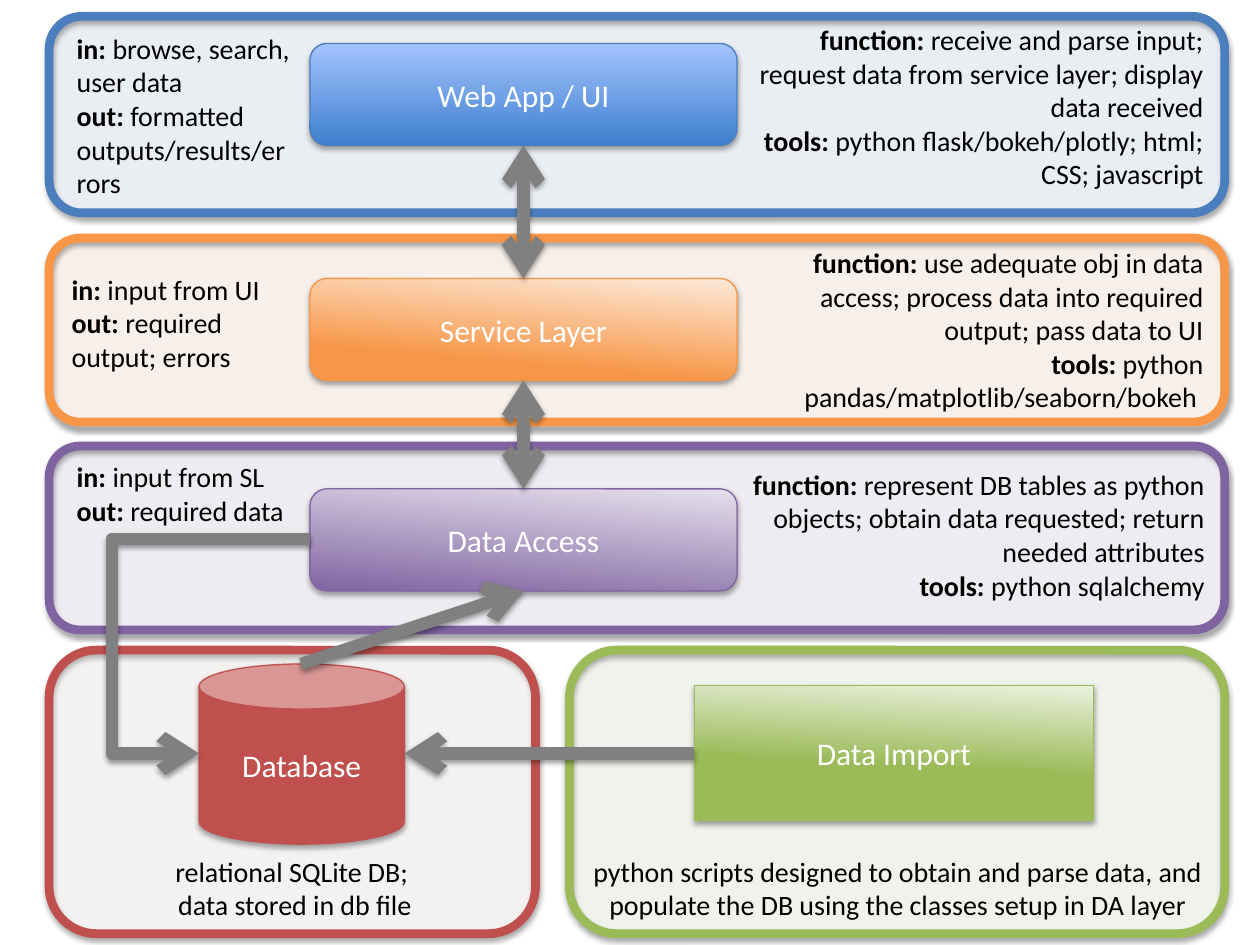
"""Layered application architecture: web, service, data access, database, import."""
from lxml.etree import SubElement
from pptx import Presentation
from pptx.dml.color import RGBColor
from pptx.enum.shapes import MSO_CONNECTOR, MSO_SHAPE
from pptx.enum.text import MSO_ANCHOR, MSO_AUTO_SIZE, PP_ALIGN
from pptx.oxml.ns import qn
from pptx.util import Inches, Pt

BLUE = RGBColor(0x4B, 0x7E, 0xBC)
SKY = RGBColor(0x4F, 0x81, 0xBD)
AZURE = RGBColor(0x3F, 0x80, 0xCE)
PALE_BLUE = RGBColor(0xA4, 0xC4, 0xFF)
ORANGE = RGBColor(0xF7, 0x96, 0x46)
PEACH = RGBColor(0xFD, 0xEA, 0xDA)
PURPLE = RGBColor(0x80, 0x64, 0xA2)
LILAC = RGBColor(0xE6, 0xE0, 0xEC)
RED = RGBColor(0xC0, 0x50, 0x4D)
PINK = RGBColor(0xF2, 0xDC, 0xDB)
GREEN = RGBColor(0x9B, 0xBB, 0x59)
MINT = RGBColor(0xEB, 0xF1, 0xDE)
GREY = RGBColor(0x80, 0x80, 0x80)
WHITE = RGBColor(0xFF, 0xFF, 0xFF)
BLACK = RGBColor(0, 0, 0)
LEFT, MID, RIGHT = PP_ALIGN.LEFT, PP_ALIGN.CENTER, PP_ALIGN.RIGHT
ROUND = MSO_SHAPE.ROUNDED_RECTANGLE

deck = Presentation()
deck.slide_width, deck.slide_height = Inches(10), Inches(7.5)
slide = deck.slides.add_slide(deck.slide_layouts[6])
shapes = slide.shapes
COL, ROW = deck.slide_width / 100, deck.slide_height / 75


def grid(*cells):
    return [round(n * size) for n, size in zip(cells, (COL, ROW) * 2)]


def shade(item, dist, alpha):
    props = item._element.spPr
    glow = props.find(qn("a:effectLst"))
    if glow is None:
        glow = SubElement(props, qn("a:effectLst"))
    drop = SubElement(glow, qn("a:outerShdw"), blurRad="40000", dist=str(dist),
                      dir="5400000", rotWithShape="0")
    tint = SubElement(drop, qn("a:srgbClr"), val="000000")
    SubElement(tint, qn("a:alpha"), val=str(alpha * 1000))


EDGE, FULL = 3.9, 93.3
panels = [
    (EDGE, 51.6, 38.6, 22.5, PINK, 12, RED),
    (45.2, 51.6, 52, 22.5, GREEN, 8, GREEN),
    (EDGE, 35.4, FULL, 14.6, PURPLE, 8, PURPLE),
    (EDGE, 18.9, FULL, 14.6, ORANGE, 8, ORANGE),
    (EDGE, 1.3, FULL, 15.6, SKY, 8, BLUE),
]
for x, y, w, h, fill, alpha, line in panels:
    panel = shapes.add_shape(ROUND, *grid(x, y, w, h))
    panel.fill.solid()
    panel.fill.fore_color.rgb = fill
    hue = panel._element.spPr.find(qn("a:solidFill"))[0]
    SubElement(hue, qn("a:alpha"), val=str(alpha * 1000))
    panel.line.color.rgb, panel.line.width = line, Pt(5)
    panel.shadow.inherit = False
    shade(panel, 23000, 35)

BOX, WIDE, TALL = 24.6, 33.9, 8.1
WEB, SERVE, DATA = 3.45, 22.1, 38.8
blocks = [
    ("Web App / UI", ROUND, BOX, WEB, WIDE, TALL, BLUE, (AZURE, 0, PALE_BLUE, 90)),
    ("Service Layer", ROUND, BOX, SERVE, WIDE, TALL, ORANGE, (ORANGE, 0.24, PEACH, 85)),
    ("Data Access", ROUND, BOX, DATA, WIDE, TALL, PURPLE, (PURPLE, 0, LILAC, 85)),
    ("Database", MSO_SHAPE.CAN, 15.8, 52.7, 16.3, 14.3, RED, None),
    ("Data Import", MSO_SHAPE.RECTANGLE, 55.1, 54.4, 31.7, 10.7, GREEN,
     (GREEN, 0.42, MINT, 87)),
]
for name, kind, x, y, w, h, line, blend in blocks:
    block = shapes.add_shape(kind, *grid(x, y, w, h))
    if blend:
        base, start, tip, angle = blend
        block.fill.gradient()
        block.fill.gradient_angle = angle
        low, high = block.fill.gradient_stops
        low.color.rgb, low.position = base, start
        high.color.rgb, high.position = tip, 1
    else:
        block.fill.solid()
        block.fill.fore_color.rgb = line
    block.line.color.rgb, block.line.width = line, Pt(0.75)
    block.shadow.inherit = False
    shade(block, 23000, 35)
    frame = block.text_frame
    frame.text, frame.vertical_anchor = name, MSO_ANCHOR.MIDDLE
    para = frame.paragraphs[0]
    para.alignment = MID
    para.font.size, para.font.name, para.font.color.rgb = Pt(18), "Calibri", WHITE

AXIS, FLOW = BOX + WIDE / 2, 59.8
TIP = ("tailEnd",)
BOTH = ("headEnd", "tailEnd")
links = [
    (55.1, FLOW, 32.1, FLOW, TIP, None),
    (23.9, 52.7, AXIS, DATA + TALL, TIP, None),
    (BOX, 42.8, 15.8, FLOW, TIP, 178700),
    (AXIS, SERVE + TALL, AXIS, DATA, BOTH, None),
    (AXIS, WEB + TALL, AXIS, SERVE, BOTH, None),
]
for x, y, end, foot, ends, bend in links:
    kind = MSO_CONNECTOR.ELBOW if bend else MSO_CONNECTOR.STRAIGHT
    link = shapes.add_connector(kind, *grid(x, y, end, foot))
    link.line.color.rgb, link.line.width = GREY, Pt(7)
    for tag in ends:
        SubElement(link.line._get_or_add_ln(), qn("a:" + tag), type="arrow")
    if bend:
        shape = link._element.spPr.find(qn("a:prstGeom"))
        SubElement(shape.find(qn("a:avLst")), qn("a:gd"), name="adj1", fmla=f"val {bend}")
    shade(link, 20000, 38)

notes = [
    (58.5, 1.3, 38, 14.5, RIGHT, [
        "function: receive and parse input; request data from service layer; "
        "display data received",
        "tools: python flask/bokeh/plotly; html; CSS; javascript"]),
    (5.1, 2, 19.2, 14.5, LEFT, [
        "in: browse, search, user data", "out: formatted outputs/results/errors"]),
    (4.7, 21.1, 19.2, 9.1, LEFT, [
        "in: input from UI", "out: required output; errors"]),
    (58.5, 19, 38, 14.5, RIGHT, [
        "function: use adequate obj in data access; process data into required "
        "output; pass data to UI",
        "tools: python pandas/matplotlib/seaborn/bokeh "]),
    (5.1, 36, 19.2, 6.4, LEFT, ["in: input from SL", "out: required data"]),
    (58.6, 36.6, 38, 11.8, RIGHT, [
        "function: represent DB tables as python objects; obtain data requested; "
        "return needed attributes",
        "tools: python sqlalchemy"]),
    (6.2, 67.3, 34.4, 6.4, MID, ["relational SQLite DB; \vdata stored in db file"]),
    (45.9, 67.3, 50.7, 6.4, MID, [
        "python scripts designed to obtain and parse data, and populate the DB "
        "using the classes setup in DA layer"]),
]
for x, y, w, h, side, lines in notes:
    frame = shapes.add_textbox(*grid(x, y, w, h)).text_frame
    frame.word_wrap, frame.auto_size = True, MSO_AUTO_SIZE.SHAPE_TO_FIT_TEXT
    for i, text in enumerate(lines):
        para = frame.add_paragraph() if i else frame.paragraphs[0]
        para.alignment = side
        label, colon, rest = text.partition(":")
        if colon:
            para.text = label + colon
            para.runs[0].font.bold = True
            para.add_run().text = rest
        else:
            para.text = text
        for run in para.runs:
            run.font.size, run.font.name, run.font.color.rgb = Pt(16), "Calibri", BLACK

deck.save("out.pptx")
